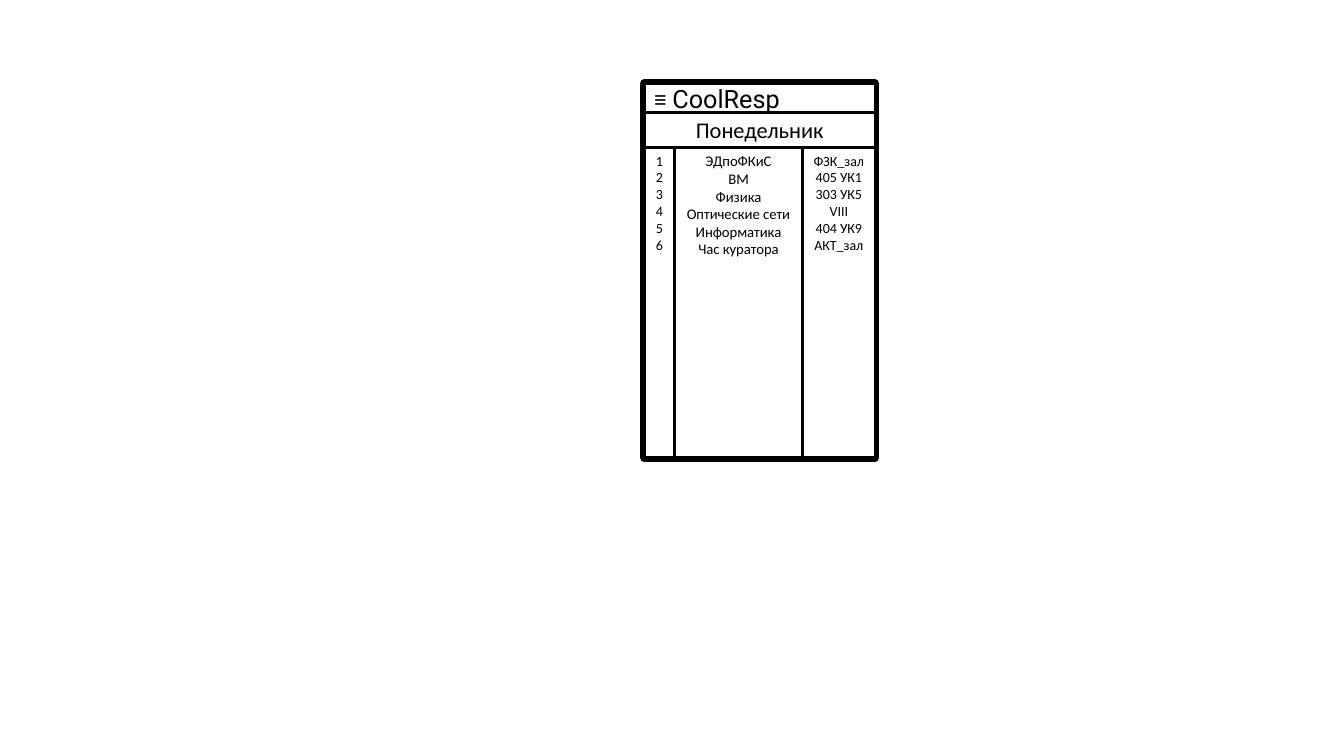
from pptx import Presentation
from pptx.dml.color import RGBColor
from pptx.enum.shapes import MSO_SHAPE
from pptx.enum.text import MSO_ANCHOR, PP_ALIGN
from pptx.util import Inches, Pt

COLORS = {"ink": "000000", "paper": "FFFFFF"}
LEFT, TOP, WIDTH, HEIGHT = 6.39, 0.83, 2.29, 3.71
HEADER_HEIGHT, DAY_HEIGHT = 0.29, 0.34
LESSONS = [
    ("1", "ЭДпоФКиС", "ФЗК_зал"),
    ("2", "ВМ", "405 УК1"),
    ("3", "Физика", "303 УК5"),
    ("4", "Оптические сети", "VIII"),
    ("5", "Информатика", "404 УК9"),
    ("6", "Час куратора", "АКТ_зал"),
]
COLUMNS = [(0.3, 10), (1.27, 10.5), (0.72, 10)]


def add_panel(slide, left, top, width, height, line_width=2.25, fill="paper"):
    """Add an outlined rectangle, unfilled when fill is None."""
    panel = slide.shapes.add_shape(
        MSO_SHAPE.RECTANGLE, Inches(left), Inches(top), Inches(width), Inches(height))
    panel.shadow.inherit = False
    if fill:
        panel.fill.solid()
        panel.fill.fore_color.rgb = RGBColor.from_string(COLORS[fill])
    else:
        panel.fill.background()
    panel.line.color.rgb = RGBColor.from_string(COLORS["ink"])
    panel.line.width = Pt(line_width)
    return panel


def write_lines(panel, lines, size, anchor, align=PP_ALIGN.CENTER):
    """Write one paragraph per line and return the paragraphs."""
    frame = panel.text_frame
    frame.word_wrap = True
    frame.vertical_anchor = anchor
    frame.text = "\n".join(lines)
    for paragraph in frame.paragraphs:
        paragraph.alignment = align
        paragraph.font.name = "Calibri"
        paragraph.font.size = Pt(size)
        paragraph.font.color.rgb = RGBColor.from_string(COLORS["ink"])
    return frame.paragraphs


def add_schedule(slide, top):
    """Add the number, subject and room columns side by side."""
    left = LEFT
    for (width, size), entries in zip(COLUMNS, zip(*LESSONS)):
        column = add_panel(slide, left, top, width, TOP + HEIGHT - top)
        write_lines(column, entries, size, MSO_ANCHOR.TOP)
        left += width


def add_header(slide):
    """Add the app bar with its menu sign and title."""
    header = add_panel(slide, LEFT, TOP, WIDTH, HEADER_HEIGHT)
    heading = write_lines(header, ["≡ "], 18, MSO_ANCHOR.MIDDLE, PP_ALIGN.LEFT)[0]
    app_title = heading.add_run()
    app_title.text = "CoolResp"
    app_title.font.name = "Roboto"


def main():
    """Build the timetable screen and save it."""
    presentation = Presentation()
    presentation.slide_width = Inches(13.33)
    presentation.slide_height = Inches(7.5)
    slide = presentation.slides.add_slide(presentation.slide_layouts[6])

    add_panel(slide, LEFT, TOP, WIDTH, HEIGHT, line_width=6, fill=None)
    day_top = TOP + HEADER_HEIGHT
    day = add_panel(slide, LEFT, day_top, WIDTH, DAY_HEIGHT)
    write_lines(day, ["Понедельник"], 16, MSO_ANCHOR.MIDDLE)
    add_schedule(slide, day_top + DAY_HEIGHT)
    add_header(slide)

    presentation.save("out.pptx")


main()
